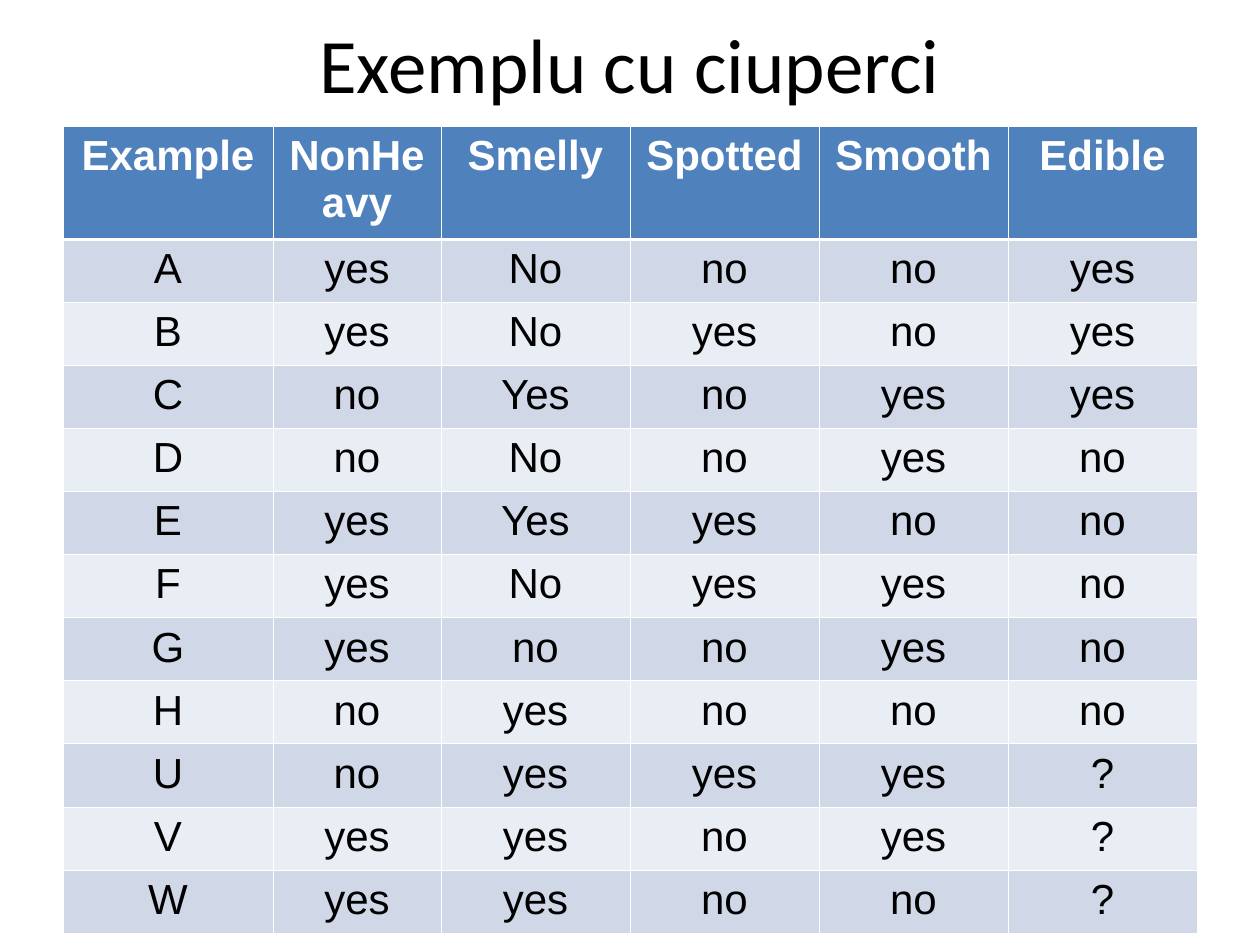
from dataclasses import dataclass

from lxml.etree import SubElement
from pptx import Presentation
from pptx.dml.color import RGBColor
from pptx.enum.text import MSO_ANCHOR, PP_ALIGN
from pptx.oxml.ns import qn
from pptx.slide import Slide
from pptx.table import _Cell
from pptx.text.text import TextFrame
from pptx.util import Pt

WHITE = RGBColor(0xFF, 0xFF, 0xFF)
BLACK = RGBColor(0x00, 0x00, 0x00)
HEADER_BLUE = RGBColor(0x4F, 0x81, 0xBD)
DARK_BAND = RGBColor(0xD0, 0xD8, 0xE8)
LIGHT_BAND = RGBColor(0xE9, 0xED, 0xF4)

MARGIN, TITLE_HEIGHT, CONTENT_WIDTH = 36, 72, 648
COLUMN_WIDTHS = (120, 96, 108, 108, 108, 108)
HEADER_HEIGHT, ROW_HEIGHT = 64.8, 36
THIN, THICK = 0.45, 1.47

FEATURES = ("Example", "NonHeavy", "Smelly", "Spotted", "Smooth", "Edible")
MUSHROOMS = (
    ("A", "yes", "No", "no", "no", "yes"),
    ("B", "yes", "No", "yes", "no", "yes"),
    ("C", "no", "Yes", "no", "yes", "yes"),
    ("D", "no", "No", "no", "yes", "no"),
    ("E", "yes", "Yes", "yes", "no", "no"),
    ("F", "yes", "No", "yes", "yes", "no"),
    ("G", "yes", "no", "no", "yes", "no"),
    ("H", "no", "yes", "no", "no", "no"),
    ("U", "no", "yes", "yes", "yes", "?"),
    ("V", "yes", "yes", "no", "yes", "?"),
    ("W", "yes", "yes", "no", "no", "?"),
)


@dataclass(frozen=True)
class RowStyle:
    """Look shared by the cells of one table row."""

    fill: RGBColor
    ink: RGBColor = BLACK
    bold: bool = False
    top: float = THIN
    bottom: float = THIN


def write_centred(frame: TextFrame, text: str, font_name: str, size: float,
                  ink: RGBColor, bold: bool = False) -> None:
    """Put one centred run into a text frame."""
    paragraph = frame.paragraphs[0]
    paragraph.alignment = PP_ALIGN.CENTER
    run = paragraph.add_run()
    run.text = text
    run.font.name = font_name
    run.font.size = Pt(size)
    run.font.bold = bold
    run.font.color.rgb = ink


def draw_borders(cell: _Cell, style: RowStyle) -> None:
    """Give a cell its four white borders."""
    properties = cell._tc.get_or_add_tcPr()
    widths = {"a:lnL": THIN, "a:lnR": THIN, "a:lnT": style.top, "a:lnB": style.bottom}
    for position, (side, width) in enumerate(widths.items()):
        border = SubElement(properties, qn(side), w=str(Pt(width)))
        solid = SubElement(border, qn("a:solidFill"))
        SubElement(solid, qn("a:srgbClr"), val=str(WHITE))
        properties.insert(position, border)


def style_for(row_index: int) -> RowStyle:
    """Choose the header style or the alternating band style."""
    if row_index == 0:
        return RowStyle(HEADER_BLUE, WHITE, bold=True, bottom=THICK)
    return RowStyle(DARK_BAND if row_index % 2 else LIGHT_BAND,
                    top=THICK if row_index == 1 else THIN)


def add_title(slide: Slide, text: str) -> None:
    """Add the slide heading."""
    heading = slide.shapes.add_textbox(
        Pt(MARGIN), Pt(0), Pt(CONTENT_WIDTH), Pt(TITLE_HEIGHT)).text_frame
    heading.word_wrap = True
    heading.vertical_anchor = MSO_ANCHOR.MIDDLE
    write_centred(heading, text, "Calibri", 44, BLACK)


def add_mushroom_table(slide: Slide) -> None:
    """Add the table of mushroom examples."""
    records = (FEATURES, *MUSHROOMS)
    heights = [HEADER_HEIGHT] + [ROW_HEIGHT] * len(MUSHROOMS)
    grid = slide.shapes.add_table(
        len(records), len(FEATURES), Pt(MARGIN), Pt(TITLE_HEIGHT),
        Pt(CONTENT_WIDTH), Pt(sum(heights))).table
    for column, width in zip(grid.columns, COLUMN_WIDTHS):
        column.width = Pt(width)
    for row_index, (record, height) in enumerate(zip(records, heights)):
        row = grid.rows[row_index]
        row.height = Pt(height)
        style = style_for(row_index)
        for cell, value in zip(row.cells, record):
            cell.fill.solid()
            cell.fill.fore_color.rgb = style.fill
            draw_borders(cell, style)
            write_centred(cell.text_frame, value, "Arial", 24, style.ink, style.bold)


def main() -> None:
    """Build and save the slide."""
    presentation = Presentation()
    presentation.slide_width, presentation.slide_height = Pt(720), Pt(540)
    slide = presentation.slides.add_slide(presentation.slide_layouts[6])
    add_title(slide, "Exemplu cu ciuperci")
    add_mushroom_table(slide)
    presentation.save("out.pptx")


if __name__ == "__main__":
    main()
